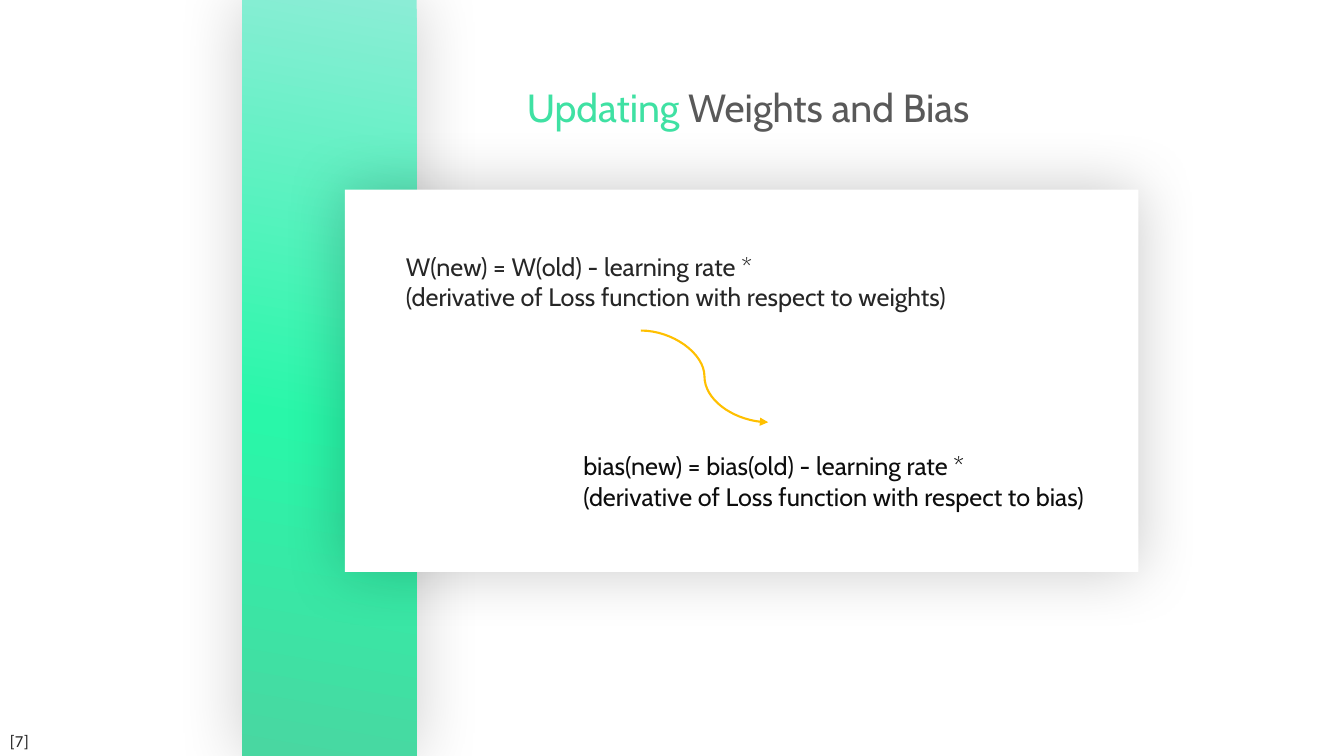
from dataclasses import dataclass

from lxml import etree
from pptx import Presentation
from pptx.dml.color import RGBColor
from pptx.enum.shapes import MSO_CONNECTOR, MSO_SHAPE
from pptx.oxml.ns import qn
from pptx.util import Cm, Pt

RECT = MSO_SHAPE.RECTANGLE
CURVE = MSO_CONNECTOR.CURVE


@dataclass(frozen=True)
class Theme:
    font: str = "Cabin"
    plain: str = "Calibri"
    white: str = "FFFFFF"
    black: str = "000000"
    dark: str = "262626"
    ink: str = "0D0D0D"
    gray: str = "595959"
    green: str = "3FE1A3"
    gold: str = "FFC000"
    fade: tuple = ((0, "8BEDD6"), (56, "29F7A9"), (100, "49D7A1"))
    title: int = 28
    body: int = 18
    note: int = 12


def rgb(code):
    return RGBColor.from_string(code)


def node(parent, tag, **attrs):
    """Add a drawing element with the given attributes."""
    return etree.SubElement(parent, qn(f"a:{tag}"),
                            {key: str(val) for key, val in attrs.items()})


class Painter:
    def __init__(self, slide, theme):
        self.slide = slide
        self.theme = theme

    def panel(self, x, y, w, h, blur, alpha):
        """Borderless white rectangle with a soft glow of shadow."""
        shape = self.slide.shapes.add_shape(RECT, Cm(x), Cm(y), Cm(w), Cm(h))
        shape.fill.solid()
        shape.fill.fore_color.rgb = rgb(self.theme.white)
        shape.line.fill.background()
        shape.shadow.inherit = False
        effects = shape.element.spPr.find(qn("a:effectLst"))
        shadow = node(effects, "outerShdw", blurRad=Pt(blur), dist=0, dir=0,
                      algn="ctr", rotWithShape=0)
        color = node(shadow, "srgbClr", val=self.theme.black)
        node(color, "alpha", val=alpha * 1000)
        return shape

    def blend(self, shape, stops, angle):
        """Fill a shape with a mirrored linear gradient."""
        shape.fill.gradient()
        shape.fill.gradient_angle = 360 - angle
        props = shape.element.spPr
        props.find(qn("a:xfrm")).set("flipH", "1")
        group = props.find(".//" + qn("a:gsLst"))
        for old in list(group):
            group.remove(old)
        for place, code in stops:
            node(node(group, "gs", pos=place * 1000), "srgbClr", val=code)

    def text(self, x, y, w, h, lines, size, font=None):
        """Each line is a list of (words, colour) runs."""
        box = self.slide.shapes.add_textbox(Cm(x), Cm(y), Cm(w), Cm(h))
        frame = box.text_frame
        frame.word_wrap = True
        for i, runs in enumerate(lines):
            para = frame.add_paragraph() if i else frame.paragraphs[0]
            para.font.size = Pt(size)
            para.font.name = font or self.theme.font
            for words, color in runs:
                run = para.add_run()
                run.text = words
                run.font.color.rgb = rgb(color)

    def arrow(self, x1, y1, x2, y2, color, width):
        link = self.slide.shapes.add_connector(CURVE, Cm(x1), Cm(y1),
                                               Cm(x2), Cm(y2))
        link.line.color.rgb = rgb(color)
        link.line.width = Pt(width)
        node(link.line._get_or_add_ln(), "tailEnd", type="triangle")
        node(link._element.spPr, "effectLst")


deck = Presentation()
deck.slide_width, deck.slide_height = Cm(33.87), Cm(19.05)
theme = Theme()
art = Painter(deck.slides.add_slide(deck.slide_layouts[6]), theme)

# Green band and white card
band = art.panel(6.1, 0, 4.4, 19.05, blur=48, alpha=20)
art.blend(band, theme.fade, angle=80)
art.panel(8.69, 4.78, 20, 9.63, blur=45, alpha=21)

# Citation
art.text(0, 18.29, 1.32, 0.76, [[("[7]", theme.dark)]], theme.note, theme.plain)

# Update rules
rules = [
    (9.98, 6.2, 17.3, "W", "weights", theme.dark),
    (14.45, 11.23, 16.97, "bias", "bias", theme.ink),
]
for x, y, w, name, term, color in rules:
    art.text(x, y, w, 1.8, [
        [(f"{name}(new) = {name}(old) - learning rate *", color)],
        [(f"(derivative of Loss function with respect to {term})", color)],
    ], theme.body)
art.arrow(16.15, 8.33, 19.36, 10.64, theme.gold, 1.5)

# Title
art.text(13.03, 1.98, 11.68, 1.45,
         [[("Updating", theme.green), (" Weights and Bias", theme.gray)]],
         theme.title)

deck.save("out.pptx")
